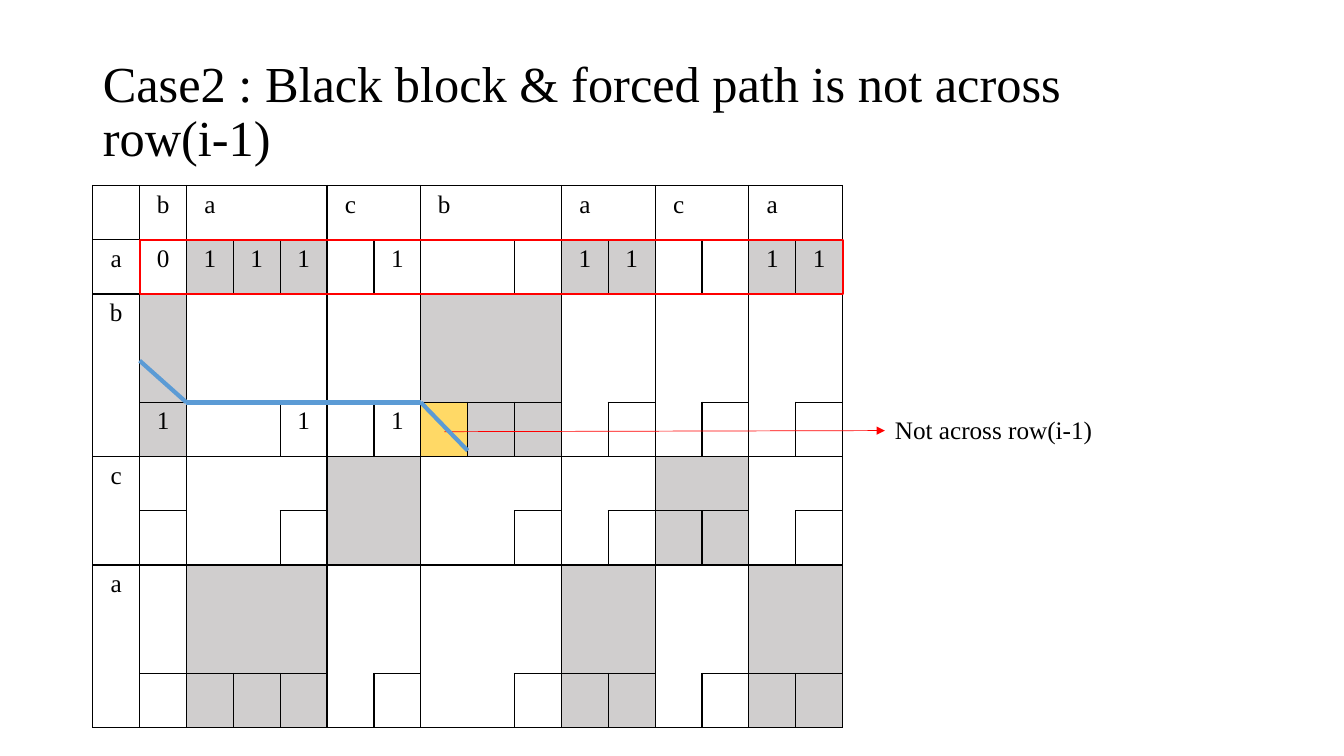
from dataclasses import dataclass
from typing import Any

import lxml.etree
import pptx
import pptx.dml.color
import pptx.enum.shapes
import pptx.enum.text
import pptx.oxml.ns
import pptx.util

Pt = pptx.util.Pt
RGB = pptx.dml.color.RGBColor
qn = pptx.oxml.ns.qn


@dataclass(frozen=True)
class Theme:
    font: str = "Times New Roman"
    title_size: float = 36
    body_size: float = 18
    ink: str = "000000"
    red: str = "FF0000"
    blue: str = "5B9BD5"
    grey: str = "D0CECE"
    yellow: str = "FFD966"


@dataclass(frozen=True)
class Grid:
    left: float = 66.24
    top: float = 132.48
    column: float = 33.48
    row: float = 38.74

    def x(self, column: float) -> Any:
        return Pt(self.left + self.column * column)

    def y(self, row: float) -> Any:
        return Pt(self.top + self.row * row)


@dataclass(frozen=True)
class MatrixRow:
    regions: str  # neighbours with the same letter share no border; a dot stands alone
    fills: str = ""  # g grey, y yellow
    labels: str = ""


@dataclass(frozen=True)
class Segment:
    start: tuple[float, float]  # column and row on the grid
    end: tuple[float, float]
    color: str
    width: float
    arrow: bool = False


THEME = Theme()
GRID = Grid()
FILLS = {"g": THEME.grey, "y": THEME.yellow}
MATRIX = [
    MatrixRow("..aaaccbbbddeeff", labels=" ba  c b  a c a"),
    MatrixRow(".......ww.......", "..ggg.....gg..gg", "a0111 1   11  11"),
    MatrixRow("ABCCCDDEEEFFGGHH", ".g.....ggg", "b"),
    MatrixRow("ABCCCDDEEEFFGGHH", ".g.....ggg"),
    MatrixRow("A.CC.D....F.G.H.", ".g.....ygg", " 1  1 1"),
    MatrixRow("K.LLLMMNNNOOPPQQ", ".....gg.....gg", "c"),
    MatrixRow("K.LL.MMNN.O...Q.", ".....gg.....gg"),
    MatrixRow("RSTTTUUVVVWWXXYY", "..ggg.....gg..gg", "a"),
    MatrixRow("RSTTTUUVVVWWXXYY", "..ggg.....gg..gg"),
    MatrixRow("R....U.VV...X...", "..ggg.....gg..gg"),
]
ROWS, COLUMNS = len(MATRIX), len(MATRIX[0].regions)
SIDES = {"a:lnL": (0, -1), "a:lnR": (0, 1), "a:lnT": (-1, 0), "a:lnB": (1, 0)}

ARROW = Segment((7.5, 4.54), (16.9, 4.52), THEME.red, 0.5, arrow=True)
PATH_POINTS = [(1, 3.23), (2, 4), (7, 4), (8, 4.89)]
FORCED_PATH = [Segment(a, b, THEME.blue, 3) for a, b in zip(PATH_POINTS, PATH_POINTS[1:])]


def apply(target: Any, values: dict[str, Any]) -> None:
    for name, value in values.items():
        setattr(target, name, value)


def write(frame: Any, text: str, size: float, **paragraph_format: Any) -> None:
    frame.text = text
    paragraph = frame.paragraphs[0]
    apply(paragraph, paragraph_format)
    font = paragraph.runs[0].font
    apply(font, {"name": THEME.font, "size": Pt(size)})
    font.color.rgb = RGB.from_string(THEME.ink)


def has_border(row: int, column: int, step: tuple[int, int]) -> bool:
    near_row, near_column = row + step[0], column + step[1]
    if not (0 <= near_row < ROWS and 0 <= near_column < COLUMNS):
        return True
    region = MATRIX[row].regions[column]
    return region == "." or region != MATRIX[near_row].regions[near_column]


def set_borders(cell: Any, row: int, column: int) -> None:
    properties = cell._tc.get_or_add_tcPr()
    for index, (tag, step) in enumerate(SIDES.items()):
        line = properties.makeelement(qn(tag), {"w": str(Pt(1))})
        if has_border(row, column, step):
            solid = lxml.etree.SubElement(line, qn("a:solidFill"))
            lxml.etree.SubElement(solid, qn("a:srgbClr"), val=THEME.ink)
        else:
            lxml.etree.SubElement(line, qn("a:noFill"))
        properties.insert(index, line)


def add_matrix(shapes: Any) -> None:
    table = shapes.add_table(ROWS, COLUMNS, GRID.x(0), GRID.y(0),
                             Pt(GRID.column * COLUMNS), Pt(GRID.row * ROWS)).table
    apply(table, {"first_row": False, "horz_banding": False})
    for column in table.columns:
        column.width = Pt(GRID.column)
    for r, content in enumerate(MATRIX):
        table.rows[r].height = Pt(GRID.row)
        fills, labels = content.fills.ljust(COLUMNS), content.labels.ljust(COLUMNS)
        for c in range(COLUMNS):
            cell = table.cell(r, c)
            if fills[c] in FILLS:
                cell.fill.solid()
                cell.fill.fore_color.rgb = RGB.from_string(FILLS[fills[c]])
            else:
                cell.fill.background()
            set_borders(cell, r, c)
            if labels[c] != " ":
                write(cell.text_frame, labels[c], THEME.body_size,
                      alignment=pptx.enum.text.PP_ALIGN.CENTER)


def add_segment(shapes: Any, segment: Segment) -> None:
    (x1, y1), (x2, y2) = segment.start, segment.end
    connector = shapes.add_connector(pptx.enum.shapes.MSO_CONNECTOR.STRAIGHT,
                                     GRID.x(x1), GRID.y(y1), GRID.x(x2), GRID.y(y2))
    connector.line.color.rgb = RGB.from_string(segment.color)
    connector.line.width = Pt(segment.width)
    properties = connector._element.spPr
    if segment.arrow:
        lxml.etree.SubElement(properties.find(qn("a:ln")), qn("a:tailEnd"), type="triangle")
    lxml.etree.SubElement(properties, qn("a:effectLst"))


def add_row_frame(shapes: Any) -> None:
    frame = shapes.add_shape(pptx.enum.shapes.MSO_SHAPE.RECTANGLE, GRID.x(1), GRID.y(1),
                             Pt(GRID.column * (COLUMNS - 1)), Pt(GRID.row))
    frame.shadow.inherit = False
    frame.fill.background()
    frame.line.color.rgb = RGB.from_string(THEME.red)
    frame.line.width = Pt(1.5)


def main() -> None:
    deck = pptx.Presentation()
    apply(deck, {"slide_width": Pt(960), "slide_height": Pt(540)})
    slide = deck.slides.add_slide(deck.slide_layouts[5])
    shapes = slide.shapes

    # Title
    title = shapes.title
    apply(title, {"left": Pt(66.24), "top": Pt(28.8), "width": Pt(822), "height": Pt(104.4)})
    apply(title.text_frame, {"word_wrap": True,
                             "auto_size": pptx.enum.text.MSO_AUTO_SIZE.NONE,
                             "vertical_anchor": pptx.enum.text.MSO_ANCHOR.MIDDLE})
    write(title.text_frame, "Case2 : Black block & forced path is not across row(i-1)",
          THEME.title_size, alignment=pptx.enum.text.PP_ALIGN.LEFT, line_spacing=0.9)

    # Alignment matrix
    add_matrix(shapes)

    # Remark on the yellow cell
    add_segment(shapes, ARROW)
    remark = shapes.add_textbox(Pt(632.16), Pt(292.32), Pt(161.28), Pt(28.8))
    apply(remark.text_frame, {"word_wrap": False,
                              "auto_size": pptx.enum.text.MSO_AUTO_SIZE.SHAPE_TO_FIT_TEXT})
    write(remark.text_frame, "Not across row(i-1)", THEME.body_size)

    # Highlighted row and forced path
    add_row_frame(shapes)
    for segment in FORCED_PATH:
        add_segment(shapes, segment)

    deck.save("out.pptx")


if __name__ == "__main__":
    main()
